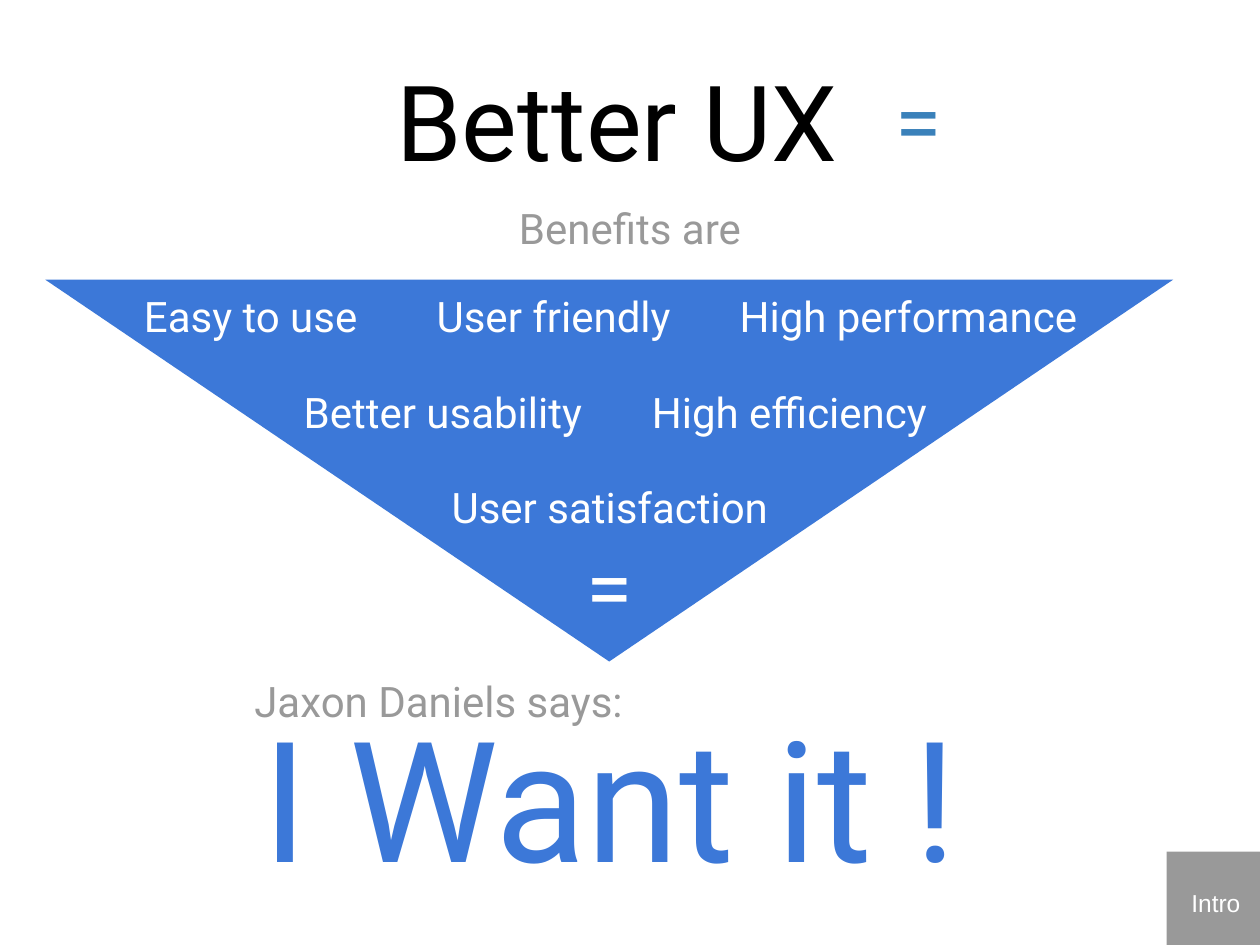
from pptx import Presentation
from pptx.dml.color import RGBColor
from pptx.enum.shapes import MSO_SHAPE as Preset
from pptx.enum.text import MSO_ANCHOR as Anchor, MSO_AUTO_SIZE as AutoSize, PP_ALIGN as Align
from pptx.util import Inches, Pt

CELL = Inches(0.1)
COLUMNS, ROWS = 100, 75
BLACK = RGBColor(0x00, 0x00, 0x00)
WHITE = RGBColor(0xFF, 0xFF, 0xFF)
GRAY = RGBColor(0x99, 0x99, 0x99)
BLUE = RGBColor(0x3C, 0x78, 0xD8)
STEEL = RGBColor(0x3A, 0x81, 0xBA)

BENEFITS_TOP, BENEFITS_PITCH, LABEL_HEIGHT = 21.5, 7.6, 7.1
BENEFIT_ROWS = [
    [("Easy to use", 8.6, 22.6), ("User friendly", 29.8, 28.3), ("High performance", 55, 34.2)],
    [("Better usability", 20.1, 30.1), ("High efficiency", 47.7, 29.9)],
    [("User satisfaction", 14.9, 67)],
]


def cells(*counts):
    return [round(count * CELL) for count in counts]


def write(holder, text, size, color, align=Align.CENTER, font_name="Roboto"):
    frame = holder.text_frame
    frame.text = text
    frame.word_wrap = True
    frame.auto_size = AutoSize.NONE
    frame.vertical_anchor = Anchor.MIDDLE
    frame.margin_left = frame.margin_right = CELL
    frame.margin_top = frame.margin_bottom = CELL
    paragraph = frame.paragraphs[0]
    paragraph.alignment = align
    font = paragraph.runs[0].font
    font.name, font.size, font.color.rgb = font_name, Pt(size), color


def add_label(shapes, area, text, size, color, **style):
    write(shapes.add_textbox(*cells(*area)), text, size, color, **style)


def add_block(shapes, preset, area, color):
    block = shapes.add_shape(preset, *cells(*area))
    block.shadow.inherit = False
    block.fill.solid()
    block.fill.fore_color.rgb = color
    block.line.fill.background()
    return block


def set_title(slide):
    title = slide.shapes.title
    title.left, title.top, title.width, title.height = cells(0, 3.2, COLUMNS, 12.6)
    write(title, "Better UX ", 60, BLACK)


def add_section_tag(slide):
    tag = slide.shapes.add_group_shape().shapes
    side = 7.4
    add_block(tag, Preset.RECTANGLE, (COLUMNS - side, ROWS - side, side, side), GRAY)
    add_label(tag, (93, 69.9, 7, 3.5), "Intro", 14, WHITE, font_name="Arial")


def add_benefits_funnel(slide):
    funnel = slide.shapes.add_group_shape().shapes
    triangle = add_block(funnel, Preset.ISOSCELES_TRIANGLE, (3.6, 22.2, 89.5, 30.3), BLUE)
    triangle.rotation = 180
    triangle.adjustments[0] = 0.5
    for row, benefits in enumerate(BENEFIT_ROWS):
        top = BENEFITS_TOP + row * BENEFITS_PITCH
        for benefit, left, width in benefits:
            add_label(funnel, (left, top, width, LABEL_HEIGHT), benefit, 24, WHITE)
    add_label(funnel, (32.6, 42.9, 31.5, LABEL_HEIGHT), "=", 48, WHITE)
    add_label(funnel, (19.2, 53.7, 34.2, 3.8), "Jaxon Daniels says:", 24, GRAY, align=Align.LEFT)


def main():
    deck = Presentation()
    deck.slide_width, deck.slide_height = cells(COLUMNS, ROWS)
    slide = deck.slides.add_slide(deck.slide_layouts[5])
    set_title(slide)
    add_label(slide.shapes, (70.1, 5.9, 5.6, LABEL_HEIGHT), "=", 48, STEEL)
    add_section_tag(slide)
    add_label(slide.shapes, (14.9, 57.5, 67, 11.2), "I Want it !", 96, BLUE)
    add_label(slide.shapes, (0, 14.5, COLUMNS, LABEL_HEIGHT), "Benefits are", 24, GRAY)
    add_benefits_funnel(slide)
    deck.save("out.pptx")


if __name__ == "__main__":
    main()
